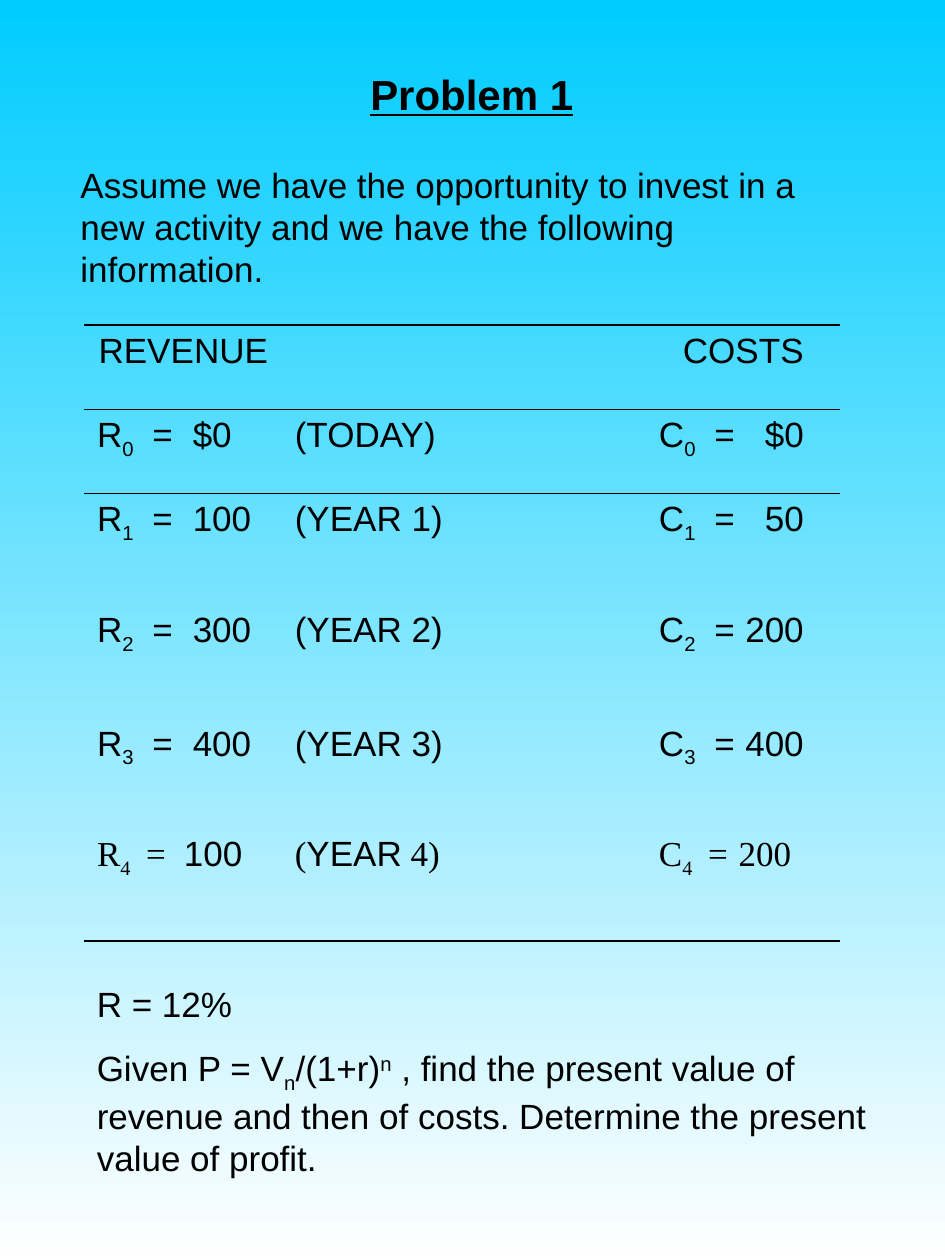
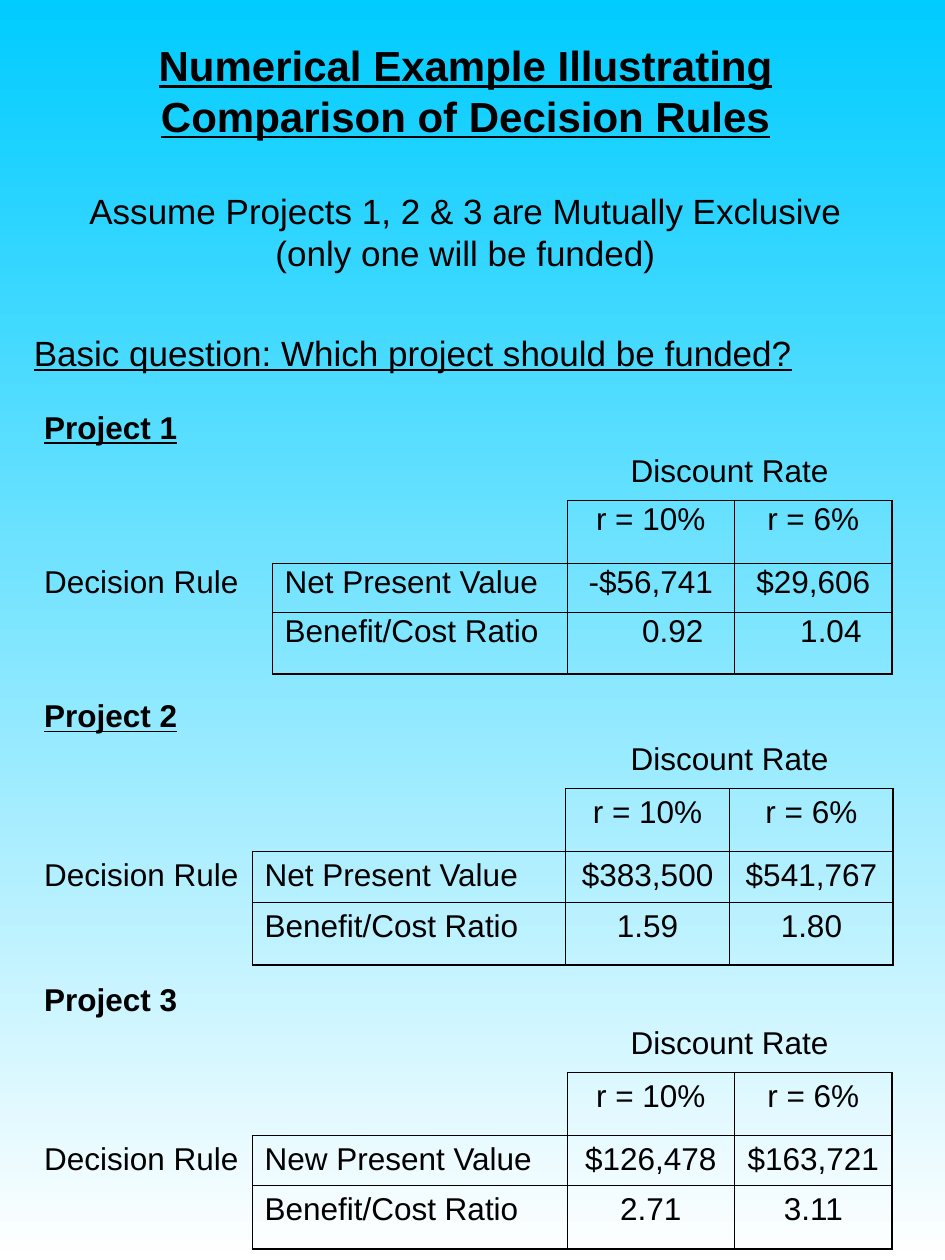
from lxml import etree
from pptx import Presentation
from pptx.dml.color import RGBColor
from pptx.enum.text import MSO_ANCHOR, PP_ALIGN
from pptx.oxml.ns import qn
from pptx.util import Inches, Pt

LEFT, CENTER = PP_ALIGN.LEFT, PP_ALIGN.CENTER
TOP, MIDDLE = MSO_ANCHOR.TOP, MSO_ANCHOR.MIDDLE
SKY, WHITE, BLACK = "00CCFF", "FFFFFF", "000000"
SANS, SERIF = "Arial", "Times New Roman"
TITLE_SIZE, BODY_SIZE, TABLE_SIZE = 24, 20, 18
THIN, THICK = 0.45, 1.08
NO_STYLE = "{2D5ABB26-0587-4C30-8999-92F81FD0307C}"
HEADING = {"bold": True, "underline": True}
SUB, SUPER = {"baseline": -25}, {"baseline": 30}


def color(value):
    """Turn a hex string into a colour."""
    return RGBColor.from_string(value)


class Handout:
    """Hold the shared style and the current page."""

    def __init__(self):
        """Start a portrait deck with a sky gradient on the master."""
        self.deck = Presentation()
        self.deck.slide_width, self.deck.slide_height = Inches(7.5), Inches(10)
        self.page = None
        fill = self.deck.slide_master.background.fill
        fill.gradient()
        fill.gradient_angle = 270
        for stop, value, position in zip(fill.gradient_stops, (SKY, WHITE), (0, 1)):
            stop.color.rgb = color(value)
            stop.position = position

    def add_page(self):
        """Add a blank page and make it current."""
        self.page = self.deck.slides.add_slide(self.deck.slide_layouts[6])

    def add_span(self, para, text, size, font=SANS, bold=False, underline=False, baseline=0):
        """Add one styled run."""
        span = para.add_run()
        span.text = text
        span.font.size, span.font.name = Pt(size), font
        span.font.bold, span.font.underline = bold, underline
        span.font.color.rgb = color(BLACK)
        if baseline:
            span.font._element.set("baseline", str(baseline * 1000))

    def fill_para(self, para, spans, size, align=LEFT, before=0, spacing=None, tabs=()):
        """Format a paragraph and add its runs."""
        para.alignment = align
        if before:
            para.space_before = Pt(before)
        if spacing:
            para.line_spacing = spacing
        if tabs:
            stops = etree.SubElement(para._p.get_or_add_pPr(), qn("a:tabLst"))
            for position, kind in tabs:
                etree.SubElement(stops, qn("a:tab"), pos=str(Inches(position)), algn=kind)
        for text, style in spans:
            self.add_span(para, text, **{"size": size, **style})

    def add_text(self, area, paras, size=BODY_SIZE, align=LEFT, anchor=TOP, gap=12.5):
        """Add a wrapped text box."""
        frame = self.page.shapes.add_textbox(*map(Inches, area)).text_frame
        frame.word_wrap = True
        frame.vertical_anchor = anchor
        for index, spans in enumerate(paras):
            para = frame.add_paragraph() if index else frame.paragraphs[0]
            self.fill_para(para, spans, size, align, gap if index else 0)

    def add_title(self, area, *paras):
        """Add a centred title, with an optional subtitle."""
        self.add_text(area, paras, TITLE_SIZE, CENTER, MIDDLE, gap=28)

    def add_table(self, left, top, widths, heights):
        """Add an unstyled table with the given columns and rows."""
        frame = self.page.shapes.add_table(
            len(heights), len(widths), Inches(left), Inches(top),
            Inches(sum(widths)), Inches(sum(heights)))
        table = frame.table
        table.first_row = table.horz_banding = False
        table._tbl.tblPr[0].text = NO_STYLE
        for column, width in zip(table.columns, widths):
            column.width = Inches(width)
        for row, height in zip(table.rows, heights):
            row.height = Inches(height)
        return table

    def finish_cell(self, cell, edges):
        """Draw cell edges, given as side and width, and clear the fill."""
        properties = cell._tc.get_or_add_tcPr()
        for side in "LRTB":
            if side in edges:
                line = etree.SubElement(properties, qn("a:ln" + side), w=str(Pt(edges[side])))
                solid = etree.SubElement(line, qn("a:solidFill"))
                etree.SubElement(solid, qn("a:srgbClr"), val=BLACK)
        cell.fill.background()

    def add_cash_flows(self, rows):
        """Add the revenue and cost table."""
        table = self.add_table(0.67, 2.58, (1.57, 1.74, 1.15, 1.54),
                               (0.67, 0.67, 0.88, 0.9, 0.88, 0.89))
        for column, text in ((0, "REVENUE"), (3, "COSTS")):
            self.fill_para(table.cell(0, column).text_frame.paragraphs[0],
                           [(text, {})], BODY_SIZE, CENTER)
        for year, (revenue, label, cost) in enumerate(rows):
            serif = year == len(rows) - 1
            style = {"font": SERIF if serif else SANS}
            equals, amount, right = (0.39, 0.69, 1.05) if serif else (0.44, 0.76, 1.15)
            for column, letter, value, value_style, stop in (
                    (0, "R", revenue, {}, (amount, "l")), (3, "C", cost, style, (right, "r"))):
                spans = [(letter, style), (str(year), {**style, **SUB}),
                         ("\t=\t", style), (value, value_style)]
                self.fill_para(table.cell(year + 1, column).text_frame.paragraphs[0],
                               spans, BODY_SIZE, tabs=((equals, "l"), stop))
            self.fill_para(table.cell(year + 1, 1).text_frame.paragraphs[0], label, BODY_SIZE)
        for row in range(len(rows) + 1):
            edges = {0: {"T": THICK, "B": THIN}, 1: {"T": THIN}, len(rows): {"B": THICK}}
            for column in range(4):
                self.finish_cell(table.cell(row, column), edges.get(row, {}))

    def add_project(self, top, widths, heights, name, name_style, values, spacing=None, shifts=()):
        """Add the decision table of one project."""
        table = self.add_table(0.25, top, widths, heights)
        table.cell(0, 2).merge(table.cell(0, 3))
        table.cell(0, 2).margin_top = Inches(0.39)
        grid = ((name, "", "Discount Rate", ""), ("", "", "r = 10%", "r = 6%"),
                ("Decision Rule", *values[0]), ("", "Benefit/Cost Ratio", *values[1]))
        for row, texts in enumerate(grid):
            for column, text in enumerate(texts):
                cell = table.cell(row, column)
                if text:
                    self.fill_para(cell.text_frame.paragraphs[0],
                                   [(text, name_style if text == name else {})], TABLE_SIZE,
                                   CENTER if column > 1 else LEFT, spacing=spacing)
                self.finish_cell(cell, project_edges(row, column))
        for column, shift in enumerate(shifts, 2):
            table.cell(3, column).margin_left = Inches(shift)


def is_boxed(row, column):
    """Tell whether a project cell has a frame."""
    return 1 <= row <= 3 and 1 <= column <= 3 and (row, column) != (1, 1)


def project_edges(row, column):
    """Give the edges that a project cell shares with any framed cell."""
    neighbours = {"L": (row, column - 1), "R": (row, column + 1),
                  "T": (row - 1, column), "B": (row + 1, column)}
    edges = {side: THIN for side, place in neighbours.items()
             if is_boxed(row, column) or is_boxed(*place)}
    if is_boxed(row, column):
        if column == 3:
            edges["R"] = THICK
        if row == 3:
            edges["B"] = THICK
    return edges


def build_problem(handout):
    """Build the present value problem."""
    handout.add_page()
    handout.add_title((0.56, 0.33, 6.37, 0.83), [("Problem 1", HEADING)])
    handout.add_text((0.54, 1.25, 6.42, 1.1), [[(
        "Assume we have the opportunity to invest in a new activity "
        "and we have the following information.", {})]])
    serif = {"font": SERIF}
    handout.add_cash_flows((
        ("$0", [("(TODAY)", {})], "$0"),
        ("100", [("(YEAR 1)", {})], "50"),
        ("300", [("(YEAR 2)", {})], "200"),
        ("400", [("(YEAR 3)", {})], "400"),
        ("100", [("(", serif), ("YEAR", {}), (" 4)", serif)], "200")))
    handout.add_text((0.67, 7.75, 6.33, 1.66), [
        [("R = 12%", {})],
        [("Given P = V", {}), ("n", SUB), ("/(1+r)", {}), ("n", SUPER),
         (" , find the present value of revenue and then of costs. "
          "Determine the present value of profit.", {})]])


def build_decision_rules(handout):
    """Build the comparison of three projects."""
    handout.add_page()
    handout.add_title(
        (0.56, 0.33, 6.27, 1.83),
        [("Numerical Example Illustrating Comparison of Decision Rules", HEADING)],
        [("Assume Projects 1, 2 & 3 are Mutually Exclusive (only one will be funded)",
          {"size": BODY_SIZE})])
    handout.add_text((0.17, 2.58, 6.25, 0.44), [[
        ("Basic question: Which project should be funded?", {"underline": True})]])
    heights = (0.76, 0.5, 0.4, 0.5)
    handout.add_project(
        3.25, (1.91, 2.34, 1.33, 1.25), (0.72, 0.5, 0.39, 0.49), "Project 1", HEADING,
        (("Net Present Value", "-$56,741", "$29,606"), ("0.92", "1.04")),
        spacing=0.85, shifts=(0.45, 0.38))
    handout.add_project(
        5.5, (1.75, 2.49, 1.3, 1.3), heights, "Project 2", HEADING,
        (("Net Present Value", "$383,500", "$541,767"), ("1.59", "1.80")))
    handout.add_project(
        7.75, (1.75, 2.5, 1.33, 1.25), heights, "Project 3", {"bold": True},
        (("New Present Value", "$126,478", "$163,721"), ("2.71", "3.11")))


def main():
    """Build and save the deck."""
    handout = Handout()
    build_problem(handout)
    build_decision_rules(handout)
    handout.deck.save("out.pptx")


if __name__ == "__main__":
    main()
